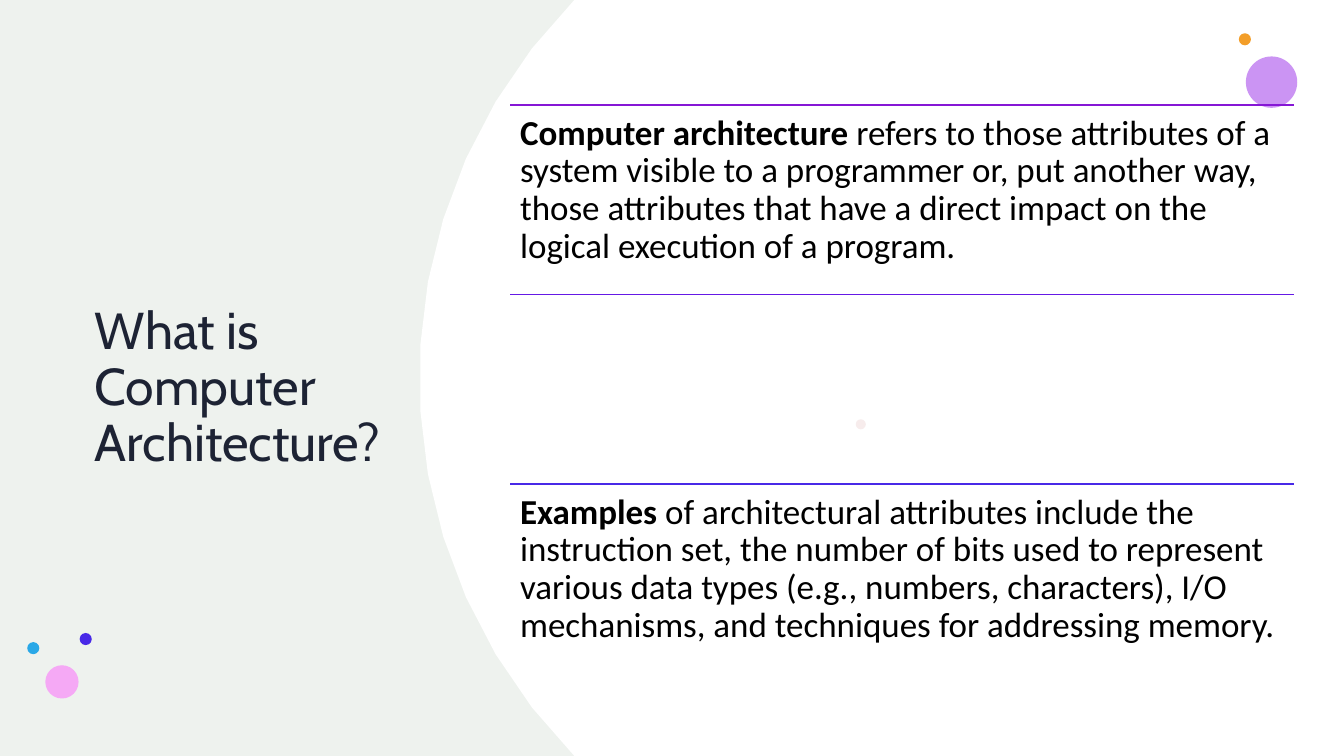
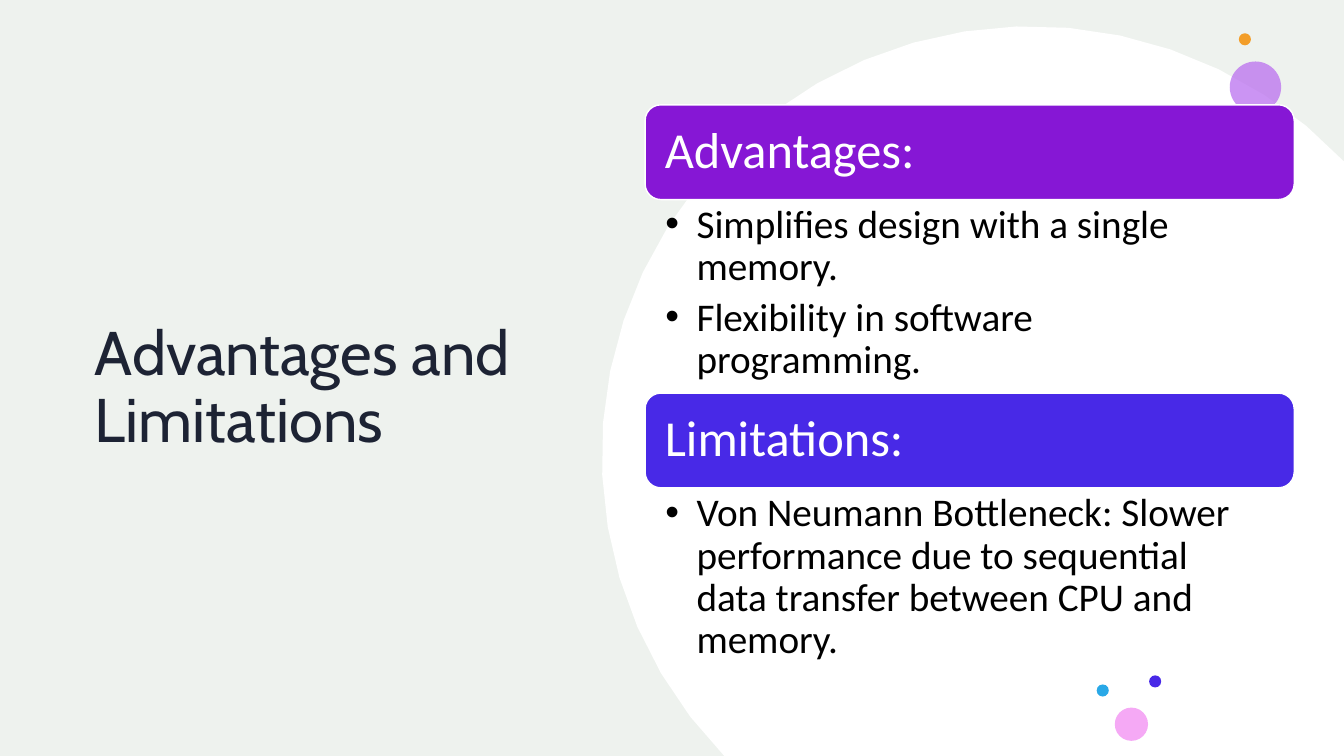
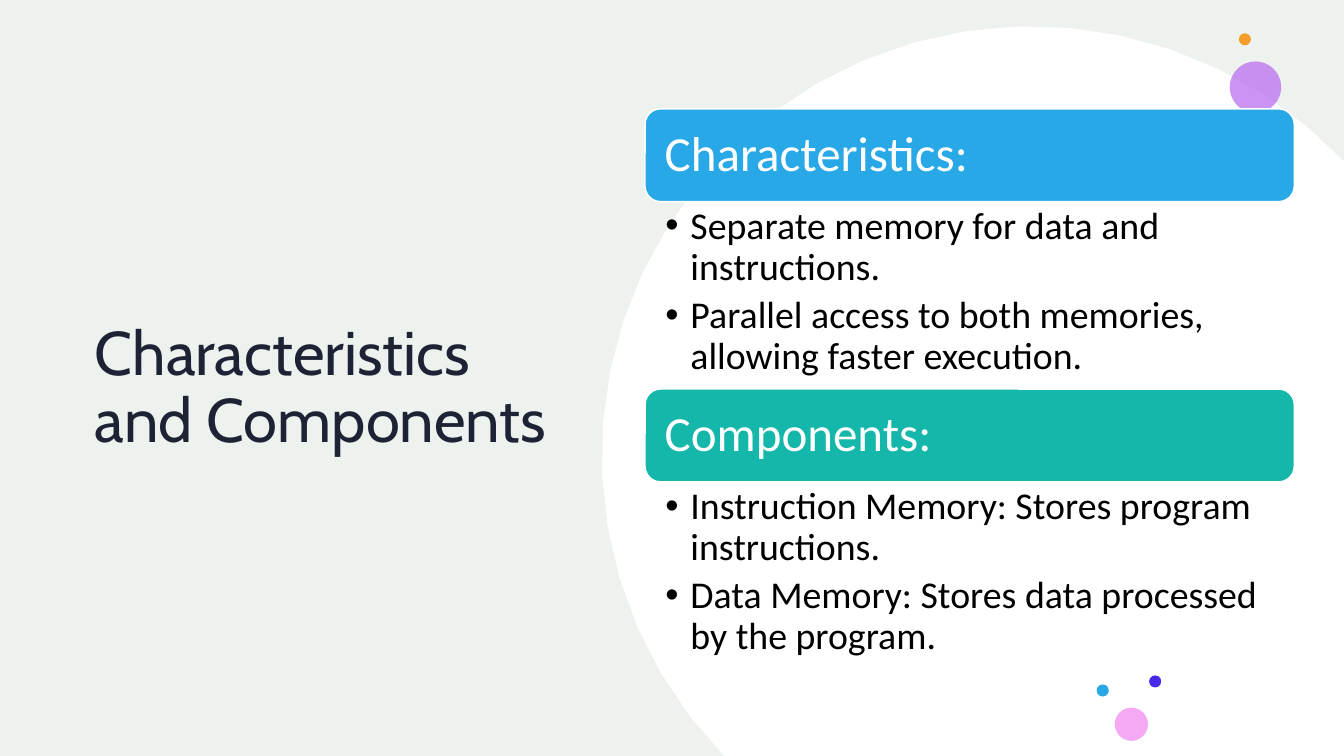
from math import cos, radians, sin

from pptx import Presentation
from pptx.dml.color import RGBColor
from pptx.enum.shapes import MSO_CONNECTOR, MSO_SHAPE
from pptx.enum.text import MSO_ANCHOR, MSO_AUTO_SIZE, PP_ALIGN
from pptx.oxml.ns import qn
from pptx.oxml.xmlchemy import OxmlElement
from pptx.util import Inches, Pt

WIDTH, HEIGHT = 40 / 3, 7.5
INK, WHITE, BLACK, WASH = "1D2334", "FFFFFF", "000000", "EEF2EE"
VIOLET, PURPLE, INDIGO, CYAN, TEAL = "8617D5", "6519E5", "4829E7", "29A8E7", "14B7A9"
LILAC, ORANGE, PINK, BLUSH = "B86BEF", "F39E29", "F5A9F5", "E3BEBE"


def paint(fill, color, opacity=None):
    """Make a shape, line or font fill solid; opacity is in percent."""
    fill.solid()
    fill.fore_color.rgb = RGBColor.from_string(color)
    if opacity is not None:
        alpha = OxmlElement("a:alpha")
        alpha.set("val", str(opacity * 1000))
        fill._xPr.find(".//" + qn("a:srgbClr")).append(alpha)


def style_paragraph(paragraph, size, color, font="Calibri"):
    paragraph.alignment = PP_ALIGN.LEFT
    paragraph.line_spacing = 0.9
    paragraph.space_before = Pt(0)
    for run in paragraph.runs:
        run.font.size = Pt(size)
        run.font.name = font
        paint(run.font.fill, color)


prs = Presentation()
prs.slide_width, prs.slide_height = Inches(WIDTH), Inches(HEIGHT)
paint(prs.slide_master.background.fill, WASH)

# Centre, radius, visible arc in degrees, and slide corners inside the disc
wide_disc = (9.5, 3.75, 5.34, 135.4, 224.6, [(WIDTH, 0), (WIDTH, HEIGHT)])
right_disc = (10.23, 4.52, 4.26, 135.6, 316.8, [(WIDTH, HEIGHT)])

# Title, its width and size; disc; large dot; dot cluster corner
openings = [
    ("What is Computer Architecture?", 3.13, 37, wide_disc, (12.36, 0.56), (0.27, 6.28)),
    ("Advantages and Limitations", 5.04, 44, right_disc, (12.2, 0.61), (10.88, 6.7)),
    ("Characteristics and Components", 5.04, 44, right_disc, (12.2, 0.61), (10.88, 6.7)),
]

slides = []
for heading, title_width, title_size, disc_outline, large_dot, cluster in openings:
    slide = prs.slides.add_slide(prs.slide_layouts[3])
    slides.append(slide)

    title = slide.shapes.title
    title.left, title.top = Inches(0.84), Inches(1.04)
    title.width, title.height = Inches(title_width), Inches(5.64)
    title.text_frame.text = heading
    title.text_frame.vertical_anchor = MSO_ANCHOR.MIDDLE
    title.text_frame.auto_size = MSO_AUTO_SIZE.NONE
    style_paragraph(title.text_frame.paragraphs[0], title_size, INK, "Cabin")

    # The white disc is cut off at the slide edges and lies behind the text
    center_x, center_y, radius, arc_start, arc_end, corners = disc_outline
    steps = round((arc_end - arc_start) / 7)
    rim = []
    for step in range(steps + 1):
        angle = radians(arc_start + (arc_end - arc_start) * step / steps)
        rim.append((center_x + radius * cos(angle), center_y + radius * sin(angle)))
    outline = [(Inches(x), Inches(y)) for x, y in rim + corners]
    builder = slide.shapes.build_freeform(*outline[0])
    builder.add_line_segments(outline[1:], close=True)
    disc = builder.convert_to_shape()
    disc.shadow.inherit = False
    paint(disc.fill, WHITE)
    disc.line.fill.background()
    slide.shapes._spTree.insert(2, disc._element)

    cluster_x, cluster_y = cluster
    dots = [
        (*large_dot, 0.51, LILAC, 72),
        (12.29, 0.33, 0.12, ORANGE, None),
        (cluster_x + 0.52, cluster_y, 0.12, INDIGO, None),
        (cluster_x + 0.18, cluster_y + 0.32, 0.33, PINK, None),
        (cluster_x, cluster_y + 0.09, 0.12, CYAN, None),
    ]
    if slide is slides[0]:
        dots.append((8.49, 4.16, 0.1, BLUSH, 28))
    for x, y, size, color, opacity in dots:
        dot = slide.shapes.add_shape(
            MSO_SHAPE.OVAL, Inches(x), Inches(y), Inches(size), Inches(size))
        dot.shadow.inherit = False
        paint(dot.fill, color, opacity)
        dot.line.fill.background()

# Slide 1: two statements between ruled lines
definition_slide = slides[0]
ROW_LEFT, ROW_TOP, ROW_WIDTH, ROW_HEIGHT = 5.06, 1.04, 7.78, 1.88
for row, color in enumerate([VIOLET, PURPLE, INDIGO]):
    y = Inches(ROW_TOP + row * ROW_HEIGHT)
    rule = definition_slide.shapes.add_connector(
        MSO_CONNECTOR.STRAIGHT, Inches(ROW_LEFT), y, Inches(ROW_LEFT + ROW_WIDTH), y)
    paint(rule.line.fill, color)
    rule.line.width = Pt(1)
    rule._element.spPr.append(OxmlElement("a:effectLst"))

statements = [
    (1, 0, "Computer architecture",
     " refers to those attributes of a system visible to a programmer or, put another way, "
     "those attributes that have a direct impact on the logical execution of a program."),
    (2, 2, "Examples",
     " of architectural attributes include the instruction set, the number of bits used to "
     "represent various data types (e.g., numbers, characters), I/O mechanisms, and "
     "techniques for addressing memory."),
]
for index, row, term, explanation in statements:
    statement = definition_slide.placeholders[index]
    statement.left, statement.top = Inches(ROW_LEFT), Inches(ROW_TOP + row * ROW_HEIGHT)
    statement.width, statement.height = Inches(ROW_WIDTH), Inches(ROW_HEIGHT)
    frame = statement.text_frame
    frame.auto_size = MSO_AUTO_SIZE.NONE
    frame.margin_left = frame.margin_right = Inches(0.1)
    frame.margin_top = frame.margin_bottom = Inches(0.1)
    paragraph = frame.paragraphs[0]
    paragraph.text = term
    paragraph.runs[0].font.bold = True
    paragraph.add_run().text = explanation
    properties = paragraph._p.get_or_add_pPr()
    properties.set("marL", "0")
    properties.set("indent", "0")
    properties.append(OxmlElement("a:buNone"))
    style_paragraph(paragraph, 25, BLACK)

# Slides 2 and 3: two banners, each with a list below it
# Slide, first top, distance, banner height, banner size, list size, list indent, sections
section_slides = [
    (slides[1], 1.04, 2.86, 0.94, 36, 28, 0.31, [
        ("Advantages:", VIOLET,
         ["Simplifies design with a single memory.",
          "Flexibility in software programming."]),
        ("Limitations:", INDIGO,
         ["Von Neumann Bottleneck: Slower performance due to sequential data transfer "
          "between CPU and memory."]),
    ]),
    (slides[2], 1.08, 2.78, 0.92, 35, 27, 0.25, [
        ("Characteristics:", CYAN,
         ["Separate memory for data and instructions.",
          "Parallel access to both memories, allowing faster execution."]),
        ("Components:", TEAL,
         ["Instruction Memory: Stores program instructions.",
          "Data Memory: Stores data processed by the program."]),
    ]),
]
for slide, first_top, pitch, banner_height, banner_size, list_size, indent, sections in section_slides:
    for row, (heading, color, points) in enumerate(sections):
        top = first_top + row * pitch
        banner = slide.shapes.add_shape(
            MSO_SHAPE.ROUNDED_RECTANGLE,
            Inches(6.4), Inches(top), Inches(6.44), Inches(banner_height))
        banner.shadow.inherit = False
        paint(banner.fill, color)
        paint(banner.line.fill, WHITE)
        banner.line.width = Pt(1)
        banner.text_frame.text = heading
        banner.text_frame.margin_left = Inches(0.15)
        banner.text_frame.vertical_anchor = MSO_ANCHOR.MIDDLE
        style_paragraph(banner.text_frame.paragraphs[0], banner_size, WHITE)

        point_list = slide.placeholders[row + 1]
        point_list.left, point_list.top = Inches(6.4), Inches(top + banner_height)
        point_list.width, point_list.height = Inches(6.44), Inches(pitch - banner_height)
        frame = point_list.text_frame
        frame.auto_size = MSO_AUTO_SIZE.NONE
        frame.margin_left, frame.margin_right = Inches(0.2), Inches(0.28)
        frame.text = "\n".join(points)
        for paragraph in frame.paragraphs:
            properties = paragraph._p.get_or_add_pPr()
            properties.set("marL", str(Inches(indent)))
            properties.set("indent", str(-Inches(indent)))
            style_paragraph(paragraph, list_size, BLACK)
            paragraph.space_after = Pt(list_size * 0.2)

prs.save("out.pptx")
